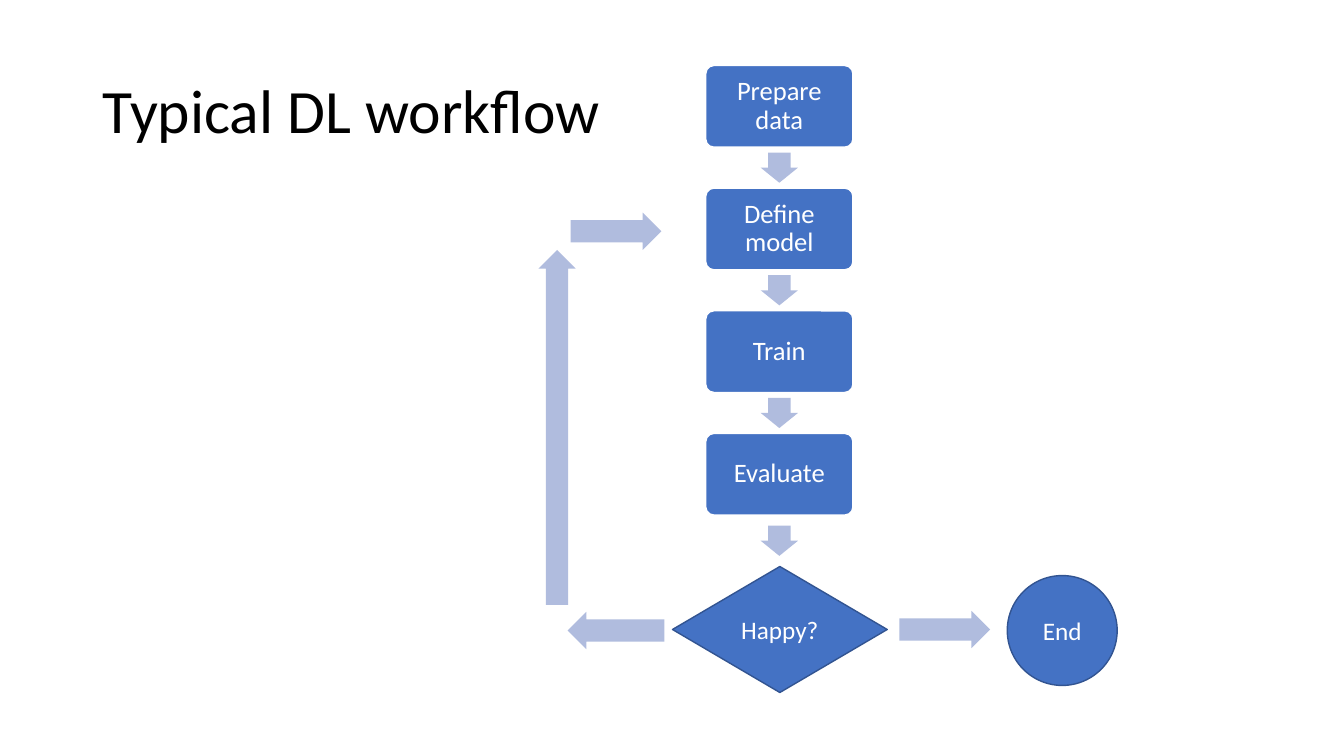
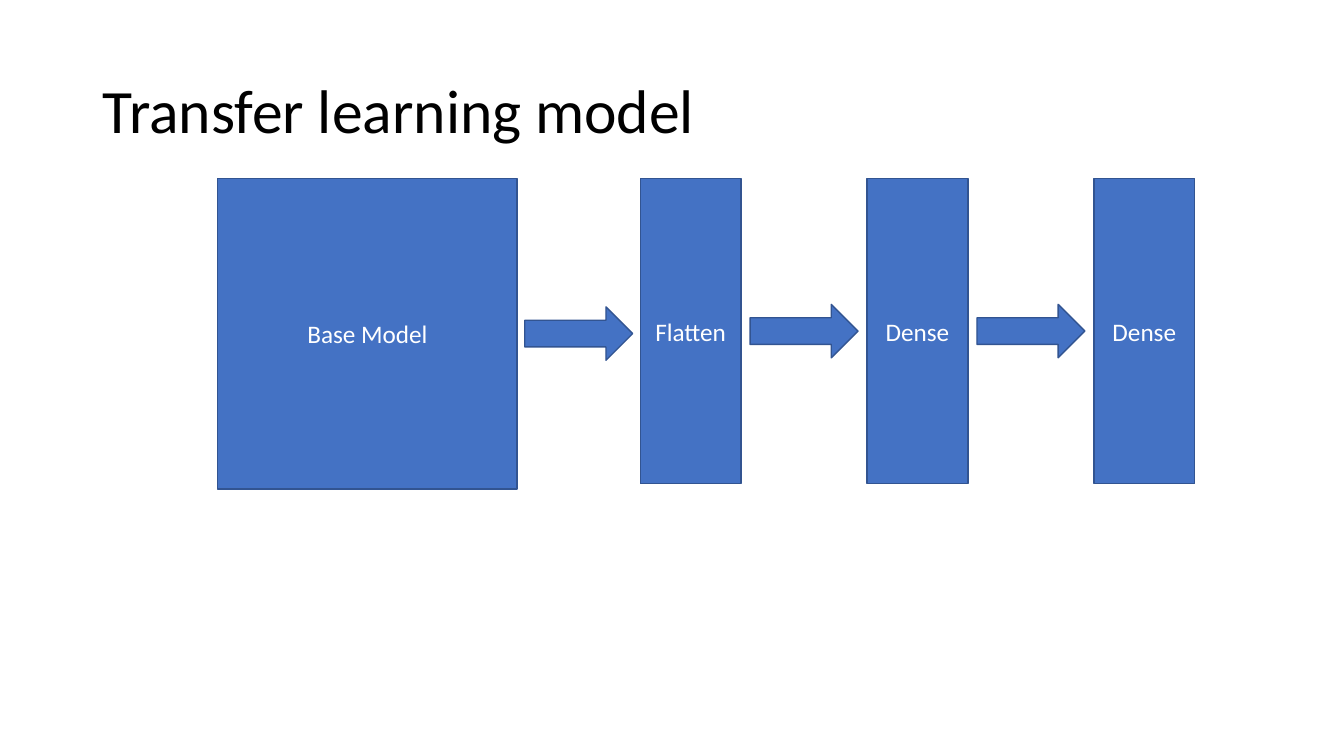
from dataclasses import dataclass
from itertools import pairwise

from pptx import Presentation
from pptx.dml.color import RGBColor
from pptx.enum import shapes, text
from pptx.util import Emu, Pt

PX = 9144
MSO = shapes.MSO_SHAPE


@dataclass(frozen=True)
class Theme:
    font: str = "Calibri"
    ink: str = "000000"
    paper: str = "FFFFFF"
    fill: str = "4472C4"
    outline: str = "325491"
    flow: str = "B0BCDE"
    title_size: int = 44
    step_size: int = 19
    label_size: int = 18
    leading: float = 0.9


T = Theme()
SLIDE = (1333, 750)
TITLE = (92, 40, 1150, 145)

WORKFLOW = "Typical DL workflow"
STEPS = ["Prepare data", "Define model", "Train", "Evaluate"]
STEP_LEFT, STEP_W, STEP_H = 700, 146, 81
FIRST_TOP, LAST_TOP = 65, 430
STEP_INSET = 8
DOWN_W, DOWN_H = 37, 30
DECISION = ("Happy?", MSO.DIAMOND, (667, 562, 213, 125))
END = ("End", MSO.OVAL, (999, 571, 109, 109))
BRANCHES = [
    (MSO.LEFT_ARROW, (563, 607, 96, 37)),
    (MSO.UP_ARROW, (534, 248, 37, 352)),
    (MSO.RIGHT_ARROW, (566, 211, 90, 37)),
    (MSO.RIGHT_ARROW, (892, 606, 90, 37)),
]

TRANSFER = "Transfer learning model"
LAYERS = [
    ("Base Model", (216, 177, 297, 308)),
    ("Flatten", (635, 177, 100, 303)),
    ("Dense", (860, 177, 100, 303)),
    ("Dense", (1085, 177, 100, 303)),
]
LINK_W, LINK_H = 107, 53


def emu(box):
    return [Emu(round(v * PX)) for v in box]


def write(tf, words, size, color, align, leading=1.0):
    tf.word_wrap = True
    tf.vertical_anchor = text.MSO_ANCHOR.MIDDLE
    p = tf.paragraphs[0]
    p.alignment, p.line_spacing = align, leading
    r = p.add_run()
    r.text = words
    for name, value in {"name": T.font, "size": Pt(size)}.items():
        setattr(r.font, name, value)
    r.font.color.rgb = RGBColor.from_string(color)


def add_slide(prs, layout, title):
    s = prs.slides.add_slide(layout)
    tf = s.shapes.title.text_frame
    tf.auto_size = text.MSO_AUTO_SIZE.NONE
    write(tf, title, T.title_size, T.ink, text.PP_ALIGN.LEFT, T.leading)
    return s


def add_shape(s, kind, box, fill=T.fill, line=T.outline, adj=()):
    sp = s.shapes.add_shape(kind, *emu(box))
    sp.shadow.inherit = False
    sp.fill.solid()
    sp.fill.fore_color.rgb = RGBColor.from_string(fill)
    if line:
        sp.line.color.rgb = RGBColor.from_string(line)
        sp.line.width = Pt(1)
    else:
        sp.line.fill.background()
    for i, value in enumerate(adj):
        sp.adjustments[i] = value
    return sp


def add_label(sp, words, size=T.label_size, leading=1.0):
    write(sp.text_frame, words, size, T.paper, text.PP_ALIGN.CENTER, leading)


def add_flow_arrow(s, kind, box):
    add_shape(s, kind, box, T.flow, None, (0.6, 0.5))


def build_workflow(prs, layout):
    s = add_slide(prs, layout, WORKFLOW)
    pitch = (LAST_TOP - FIRST_TOP) / (len(STEPS) - 1)
    tops = [FIRST_TOP + i * pitch for i in range(len(STEPS))]
    for words, top in zip(STEPS, tops):
        sp = add_shape(s, MSO.ROUNDED_RECTANGLE,
                       (STEP_LEFT, top, STEP_W, STEP_H), line=T.paper, adj=(0.1,))
        for side in ("left", "top", "right", "bottom"):
            setattr(sp.text_frame, f"margin_{side}", Emu(STEP_INSET * PX))
        add_label(sp, words, T.step_size, T.leading)
    for words, kind, box in (DECISION, END):
        add_label(add_shape(s, kind, box), words)
    arrow_left = STEP_LEFT + (STEP_W - DOWN_W) / 2
    for top, next_top in pairwise(tops + [DECISION[2][1]]):
        arrow_top = (top + STEP_H + next_top - DOWN_H) / 2
        add_flow_arrow(s, MSO.DOWN_ARROW, (arrow_left, arrow_top, DOWN_W, DOWN_H))
    for kind, box in BRANCHES:
        add_flow_arrow(s, kind, box)


def build_transfer(prs, layout):
    s = add_slide(prs, layout, TRANSFER)
    for words, box in LAYERS:
        add_label(add_shape(s, MSO.RECTANGLE, box), words)
    for (_, (left, top, w, h)), (_, following) in pairwise(LAYERS):
        link_left = (left + w + following[0] - LINK_W) / 2
        link_top = top + (h - LINK_H) / 2
        add_shape(s, MSO.RIGHT_ARROW, (link_left, link_top, LINK_W, LINK_H))


def main():
    prs = Presentation()
    prs.slide_width, prs.slide_height = emu(SLIDE)
    layout = prs.slide_layouts.get_by_name("Title Only")
    title = layout.placeholders[0]
    for name, value in zip(("left", "top", "width", "height"), emu(TITLE)):
        setattr(title, name, value)
    build_workflow(prs, layout)
    build_transfer(prs, layout)
    prs.save("out.pptx")


if __name__ == "__main__":
    main()
